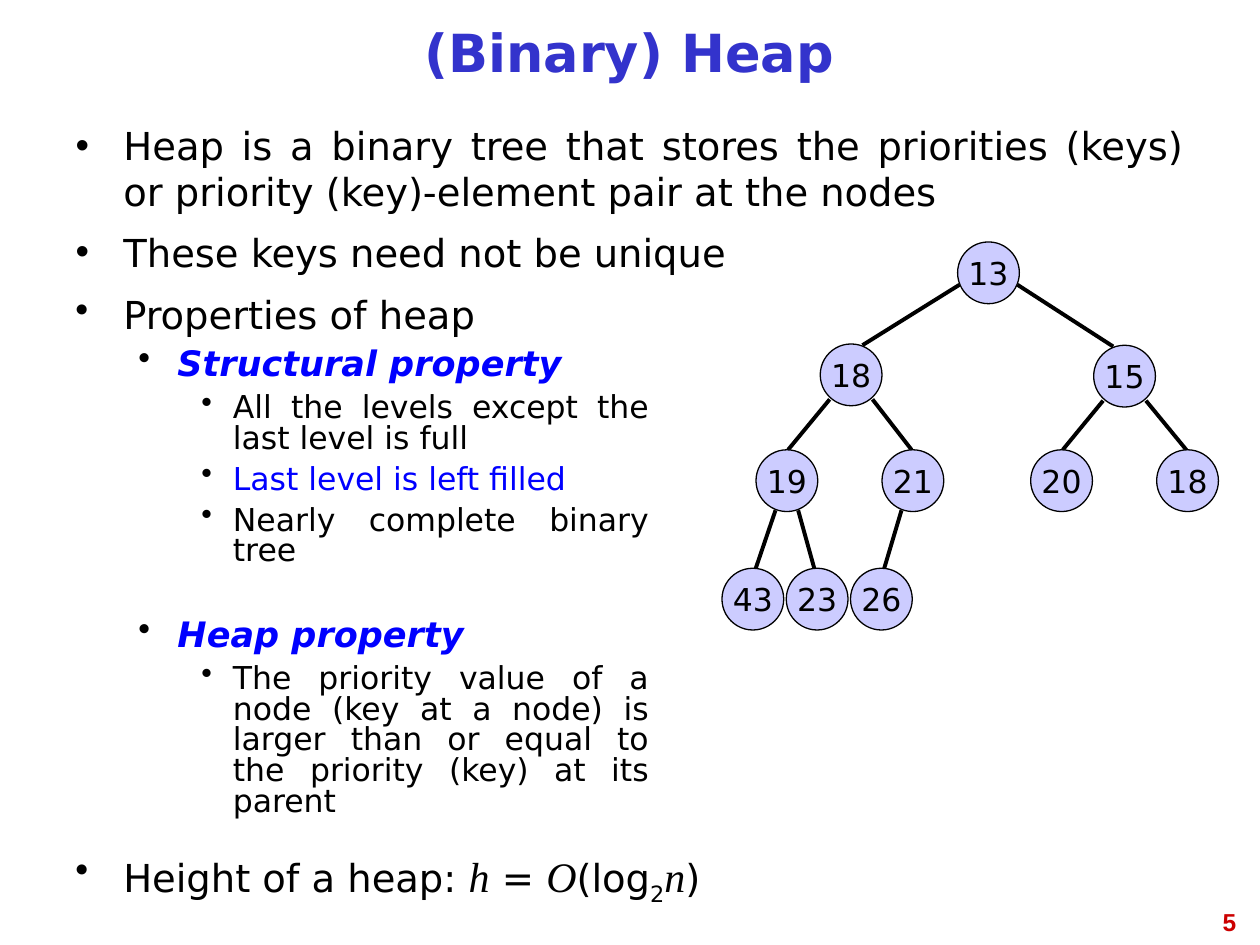
from dataclasses import dataclass
from typing import Optional

from lxml.etree import SubElement
from pptx import Presentation
from pptx.dml.color import RGBColor
from pptx.enum.shapes import MSO_CONNECTOR as Connector, MSO_SHAPE as Shape
from pptx.enum.text import MSO_ANCHOR as Anchor, MSO_AUTO_SIZE as AutoSize, PP_ALIGN as Align
from pptx.oxml.ns import qn
from pptx.util import Inches, Pt

COLORS = {
    "title": "3333CC",
    "text": "000000",
    "accent": "0000FF",
    "node": "CCCCFF",
    "number": "CC0000",
}
SANS, SERIF = "DejaVu Sans", "Times New Roman"
TIGHT = 0.81
NODE_SIZE = 0.49


@dataclass
class BulletStyle:
    indent: float
    hanging: float
    size: int
    before: int


@dataclass
class Bullet:
    text: str = ""
    level: int = 0
    color: str = "text"
    strong: bool = False
    gap: int = 0  # extra points above


@dataclass
class Node:
    key: str
    left: float
    top: float
    parent: Optional[int] = None
    depth: int = 0


@dataclass
class EdgeRule:
    """Offsets of an edge's ends from the top centre of its two nodes."""
    parent_dx: float
    parent_dy: float
    child_dx: float
    child_dy: float


BULLET_STYLES = [
    BulletStyle(0.38, 0.38, 22, 8),
    BulletStyle(0.81, 0.31, 20, 7),
    BulletStyle(1.25, 0.25, 18, 6),
]

DEFINITION = [
    Bullet("Heap is a binary tree that stores the priorities (keys) or "
           "priority (key)-element pair at the nodes"),
    Bullet("These keys need not be unique"),
]
PROPERTIES = [
    Bullet("Properties of heap"),
    Bullet("Structural property", 1, "accent", True),
    Bullet("All the levels except the last level is full", 2),
    Bullet("Last level is left filled", 2, "accent"),
    Bullet("Nearly complete binary tree", 2),
    Bullet("Heap property", 1, "accent", True, gap=23),
    Bullet("The priority value of a node (key at a node) is larger than "
           "or equal to the priority (key) at its parent", 2),
]

HEAP = [
    Node("13", 7.6, 1.92),
    Node("18", 6.51, 2.73, 0, 1),
    Node("15", 8.68, 2.74, 0, 1),
    Node("19", 6, 3.57, 1, 2),
    Node("21", 7, 3.57, 1, 2),
    Node("20", 8.18, 3.57, 2, 2),
    Node("18", 9.18, 3.57, 2, 2),
    Node("43", 5.73, 4.51, 3, 3),
    Node("23", 6.24, 4.51, 3, 3),
    Node("26", 6.75, 4.51, 4, 3),
]
EDGE_RULES = {
    1: EdgeRule(0.23, 0.34, 0.09, 0.01),
    2: EdgeRule(0.17, 0.44, 0.01, 0),
    3: EdgeRule(0.09, 0.48, 0.02, 0.01),
}


def rgb(name: str) -> RGBColor:
    return RGBColor.from_string(COLORS[name])


def add_text(paragraph, text: str, *, size=22, font=SANS, color="text",
             bold=False, italic=False, baseline=0) -> None:
    run = paragraph.add_run()
    run.text = text
    run.font.size = Pt(size)
    run.font.name = font
    run.font.bold = bold
    run.font.italic = italic
    run.font.color.rgb = rgb(color)
    if baseline:
        run.font._element.set("baseline", str(baseline * 1000))


def place(shape, left: float, top: float, width: float, height: float):
    shape.left, shape.top = Inches(left), Inches(top)
    shape.width, shape.height = Inches(width), Inches(height)
    frame = shape.text_frame
    frame.word_wrap = True
    frame.auto_size = AutoSize.NONE
    frame.vertical_anchor = Anchor.TOP
    return frame


def add_box(slide, left: float, top: float, width: float, height: float):
    box = slide.shapes.add_textbox(0, 0, Inches(1), Inches(1))
    return place(box, left, top, width, height)


def format_bullet(paragraph, bullet: Bullet, spacing: float) -> BulletStyle:
    style = BULLET_STYLES[bullet.level]
    paragraph.level = bullet.level
    paragraph.alignment = Align.JUSTIFY
    paragraph.line_spacing = spacing
    paragraph.space_before = Pt(style.before + bullet.gap)
    props = paragraph._p.get_or_add_pPr()
    props.set("marL", str(Inches(style.indent)))
    props.set("indent", str(-Inches(style.hanging)))
    bullet_color = SubElement(props, qn("a:buClr"))
    SubElement(bullet_color, qn("a:srgbClr"), val=COLORS["text"])
    SubElement(props, qn("a:buChar"), char="•")
    return style


def add_bullets(frame, bullets: list[Bullet], spacing: float = TIGHT) -> None:
    for index, bullet in enumerate(bullets):
        paragraph = frame.add_paragraph() if index else frame.paragraphs[0]
        style = format_bullet(paragraph, bullet, spacing)
        add_text(paragraph, bullet.text, size=style.size, color=bullet.color,
                 bold=bullet.strong, italic=bullet.strong)


def add_edge(slide, parent: Node, child: Node) -> None:
    rule = EDGE_RULES[child.depth]
    side = 1 if child.left > parent.left else -1
    middle = NODE_SIZE / 2
    edge = slide.shapes.add_connector(
        Connector.STRAIGHT,
        Inches(parent.left + middle + side * rule.parent_dx),
        Inches(parent.top + rule.parent_dy),
        Inches(child.left + middle - side * rule.child_dx),
        Inches(child.top + rule.child_dy))
    edge.line.color.rgb = rgb("text")
    edge.line.width = Pt(2.25)
    SubElement(edge._element.spPr, qn("a:effectLst"))


def add_node(slide, node: Node) -> None:
    circle = slide.shapes.add_shape(Shape.OVAL, Inches(node.left), Inches(node.top),
                                    Inches(NODE_SIZE), Inches(NODE_SIZE))
    circle.shadow.inherit = False
    circle.fill.solid()
    circle.fill.fore_color.rgb = rgb("node")
    circle.line.color.rgb = rgb("text")
    circle.line.width = Pt(0.75)
    frame = circle.text_frame
    frame.word_wrap = False
    frame.vertical_anchor = Anchor.MIDDLE
    frame.paragraphs[0].alignment = Align.CENTER
    add_text(frame.paragraphs[0], node.key, size=18)


def main() -> None:
    prs = Presentation()
    prs.slide_width, prs.slide_height = Inches(10), Inches(7.5)
    slide = prs.slides.add_slide(prs.slide_layouts[1])

    # Title
    title = place(slide.shapes.title, 0.5, 0.08, 8.99, 0.75)
    title.vertical_anchor = Anchor.MIDDLE
    heading = title.paragraphs[0]
    heading.alignment = Align.CENTER
    heading.line_spacing = TIGHT
    add_text(heading, "(Binary) Heap", size=30, color="title", bold=True)

    # Definition and properties
    add_bullets(place(slide.placeholders[1], 0.5, 0.92, 8.99, 0.83), DEFINITION, 1.0)
    add_bullets(add_box(slide, 0.5, 2.33, 4.75, 4.25), PROPERTIES)

    # Heap tree, edges behind nodes
    for node in HEAP:
        if node.parent is not None:
            add_edge(slide, HEAP[node.parent], node)
    for node in HEAP:
        add_node(slide, node)

    # Height formula
    height = add_box(slide, 0.5, 6.75, 8.99, 0.5).paragraphs[0]
    format_bullet(height, Bullet(), TIGHT)
    variable = {"size": 24, "font": SERIF, "italic": True}
    for text, look in [("Height of a heap: ", {}), ("h", variable), (" = ", {}),
                       ("O", variable), ("(log", {}), ("2", {"baseline": -25}),
                       ("n", variable), (")", {})]:
        add_text(height, text, **look)

    # Page number
    number = add_box(slide, 7.58, 7.15, 2.33, 0.52).paragraphs[0]
    number.alignment = Align.RIGHT
    add_text(number, "5", size=14, font="Arial", color="number", bold=True)

    prs.save("out.pptx")


if __name__ == "__main__":
    main()
